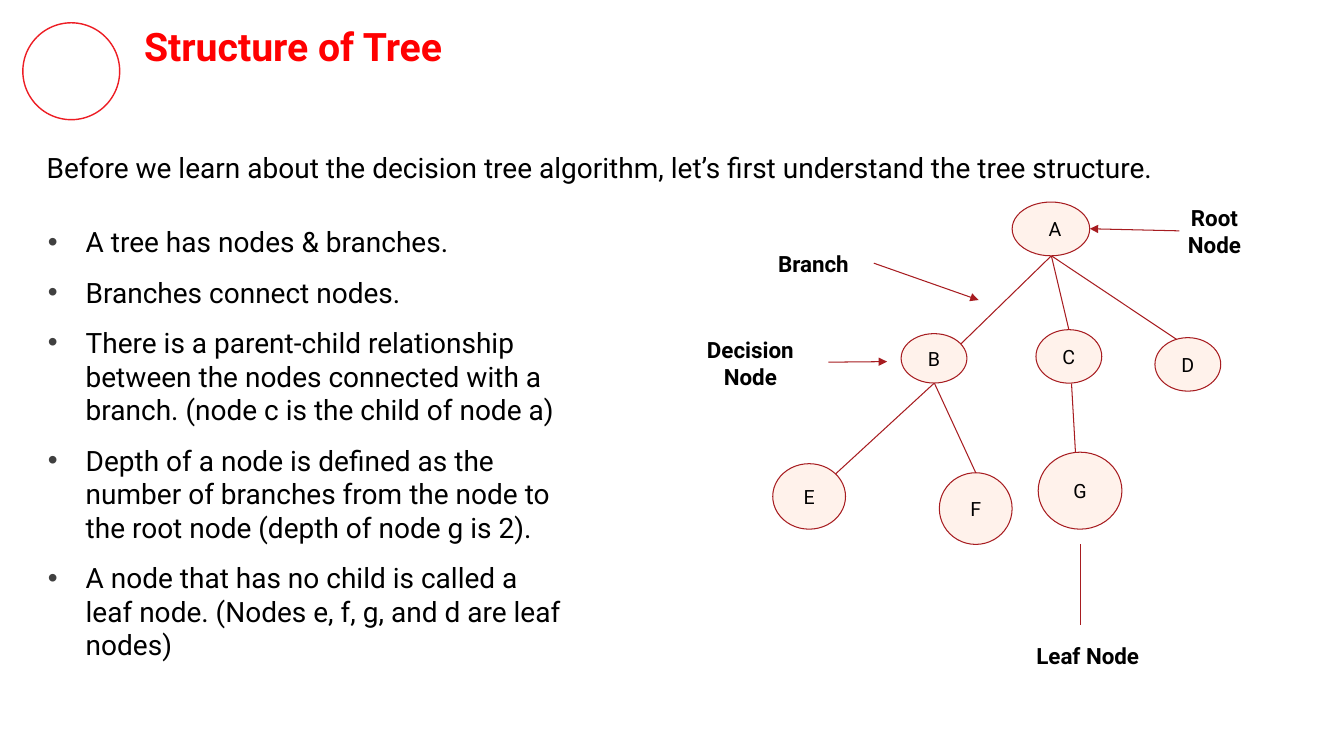
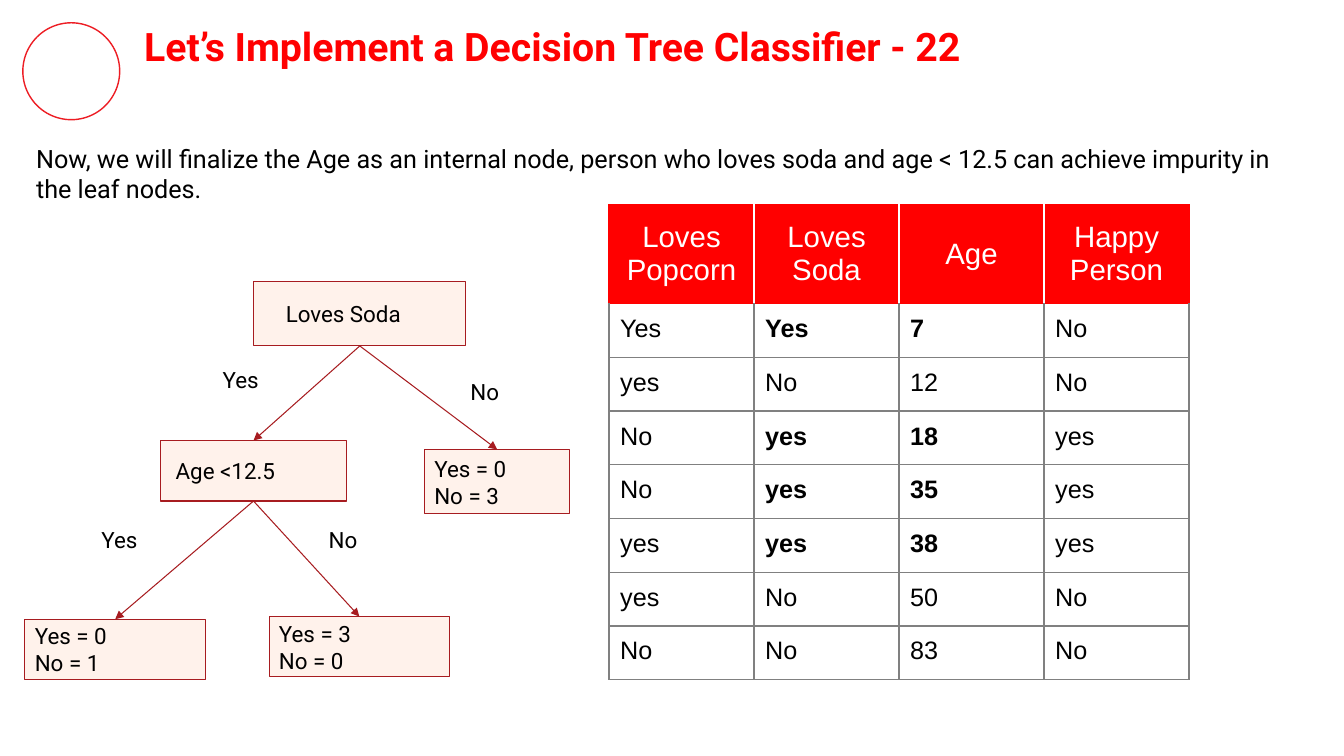
from dataclasses import dataclass
from typing import Any, Optional

from lxml import etree
from pptx import Presentation
from pptx import presentation as pres
from pptx import slide as sl
from pptx import util as u
from pptx.dml import color as dml
from pptx.enum import shapes, text
from pptx.oxml import ns

COLORS = {
    "title": "FF0001",
    "ring": "ED1D24",
    "branch": "A71C20",
    "node": "FFF2EB",
    "ink": "000000",
    "bullet": "404040",
    "header": "FF0000",
    "grid": "808080",
    "paper": "FFFFFF",
}
FONT = "Roboto"
TABLE_FONT = "Arial"
INSET = 7.2
LEFT, CENTER = text.PP_ALIGN.LEFT, text.PP_ALIGN.CENTER
TOP, MIDDLE = text.MSO_ANCHOR.TOP, text.MSO_ANCHOR.MIDDLE
TITLE_LAYOUT, TITLE_BODY_LAYOUT = 5, 1


@dataclass(frozen=True)
class Box:
    left: float
    top: float
    width: float
    height: float

    def lengths(self) -> tuple[u.Pt, ...]:
        return tuple(u.Pt(v) for v in (self.left, self.top, self.width, self.height))


@dataclass(frozen=True)
class Style:
    size: float
    bold: bool = False
    color: str = "ink"
    align: Any = LEFT
    anchor: Any = TOP
    font: str = FONT
    indent: float = INSET
    inset: float = INSET


@dataclass(frozen=True)
class Node:
    label: str
    box: Box
    indent: float = INSET


@dataclass(frozen=True)
class Label:
    words: str
    box: Box


@dataclass(frozen=True)
class Line:
    x1: float
    y1: float
    x2: float
    y2: float
    arrow: bool = False


TITLE_STYLE = Style(28, True, "title")
BULLET_STYLE = Style(20, anchor=MIDDLE)
CALLOUT_STYLE = Style(16, True, align=CENTER, anchor=MIDDLE)
ANSWER_STYLE = Style(16)

BULLETS = (
    "A tree has nodes & branches.",
    "Branches connect nodes.",
    "There is a parent-child relationship between the nodes connected with a branch. "
    "(node c is the child of node a)",
    "Depth of a node is defined as the number of branches from the node to the root node "
    "(depth of node g is 2).",
    "A node that has no child is called a leaf node. (Nodes e, f, g, and d are leaf nodes)",
)
TREE_NODES = (
    Node("A", Box(723, 144.3, 55.4, 38.4), 13),
    Node("B", Box(643.7, 238.3, 47, 35.3)),
    Node("C", Box(740, 235.5, 47, 38.2)),
    Node("D", Box(825, 241.2, 47, 38.2)),
    Node("E", Box(552, 331.2, 52, 46.8)),
    Node("F", Box(671, 337.7, 52, 51.2)),
    Node("G", Box(741.6, 323, 59.8, 55)),
)
TREE_LINES = (
    Line(751, 182.7, 685, 247),
    Line(751, 182.7, 763.5, 235.5),
    Line(751, 182.7, 845, 245.5),
    Line(667.4, 273.6, 597, 338.4),
    Line(667.4, 273.6, 697, 337.7),
    Line(765.4, 274, 768.2, 323),
    Line(771.8, 388.8, 771.8, 446.4),
    Line(624.2, 188, 699, 214.3, True),
    Line(842.4, 164.9, 778.5, 163.4, True),
    Line(591.8, 258.7, 633.6, 258.3, True),
)
CALLOUTS = (
    Label("Root Node", Box(838, 138.5, 59, 53)),
    Label("Branch", Box(531, 171.5, 100, 34)),
    Label("Decision Node", Box(489, 234.5, 94, 49)),
    Label("Leaf Node", Box(717, 451, 120, 34)),
)

DECISIONS = {
    "soda": Node("Loves Soda", Box(181.2, 201.3, 151.6, 45.8), 23),
    "age": Node("Age <12.5", Box(114.5, 314.7, 133.2, 43.2), 11),
    "young": Node("Yes = 0\nNo = 1", Box(17.8, 442.3, 129, 43.2)),
    "older": Node("Yes = 3\nNo = 0", Box(192.2, 440.4, 129, 43.2)),
    "no_soda": Node("Yes = 0\nNo = 3", Box(303.2, 321, 103.8, 46)),
}
SPLITS = (("soda", "age"), ("soda", "no_soda"), ("age", "young"), ("age", "older"))
ANSWERS = (
    Label("Yes", Box(152, 254.2, 58, 34)),
    Label("No", Box(329, 262.8, 58, 34)),
    Label("Yes", Box(65.3, 368.6, 49, 34)),
    Label("No", Box(227.7, 368.6, 58, 34)),
)
PEOPLE = (
    ("Loves Popcorn", "Loves Soda", "Age", "Happy Person"),
    ("Yes", "Yes", "7", "No"),
    ("yes", "No", "12", "No"),
    ("No", "yes", "18", "yes"),
    ("No", "yes", "35", "yes"),
    ("yes", "yes", "38", "yes"),
    ("yes", "No", "50", "No"),
    ("No", "No", "83", "No"),
)
SODA_COLUMN, AGE_COLUMN = 1, 2
HEADER_HEIGHT, ROW_HEIGHT, COLUMN_WIDTH = 70.6, 38.4, 103.6


def rgb(name: str) -> dml.RGBColor:
    return dml.RGBColor.from_string(COLORS[name])


def add_child(parent: Any, tag: str, **attributes: str) -> Any:
    return etree.SubElement(parent, ns.qn(tag), **attributes)


def style_runs(frame: Any, style: Style) -> None:
    for paragraph in frame.paragraphs:
        paragraph.alignment = style.align
        for run in paragraph.runs:
            run.font.size = u.Pt(style.size)
            run.font.name = style.font
            run.font.bold = style.bold
            run.font.color.rgb = rgb(style.color)


def write(frame: Any, words: str, style: Style) -> None:
    frame.text = words
    frame.word_wrap = True
    frame.auto_size = text.MSO_AUTO_SIZE.NONE
    frame.vertical_anchor = style.anchor
    frame.margin_left = u.Pt(style.indent)
    frame.margin_right = frame.margin_top = frame.margin_bottom = u.Pt(style.inset)
    style_runs(frame, style)


def place(shape: Any, box: Box) -> None:
    shape.left, shape.top, shape.width, shape.height = box.lengths()


def add_text(slide: sl.Slide, words: str, box: Box, style: Style) -> None:
    write(slide.shapes.add_textbox(*box.lengths()).text_frame, words, style)


def add_outline(slide: sl.Slide, kind: Any, box: Box, line: str, width: float,
                fill: Optional[str] = None) -> Any:
    shape = slide.shapes.add_shape(kind, *box.lengths())
    shape.shadow.inherit = False
    if fill:
        shape.fill.solid()
        shape.fill.fore_color.rgb = rgb(fill)
    else:
        shape.fill.background()
    shape.line.color.rgb = rgb(line)
    shape.line.width = u.Pt(width)
    return shape


def add_node(slide: sl.Slide, kind: Any, node: Node, size: float, align: Any) -> Any:
    shape = add_outline(slide, kind, node.box, "branch", 0.75, "node")
    write(shape.text_frame, node.label,
          Style(size, align=align, anchor=MIDDLE, indent=node.indent))
    return shape


def add_line(slide: sl.Slide, line: Line) -> Any:
    ends = (u.Pt(v) for v in (line.x1, line.y1, line.x2, line.y2))
    connector = slide.shapes.add_connector(shapes.MSO_CONNECTOR.STRAIGHT, *ends)
    connector.line.color.rgb = rgb("branch")
    connector.line.width = u.Pt(0.75)
    properties = connector.element.spPr
    if line.arrow:
        add_child(properties.find(ns.qn("a:ln")), "a:tailEnd", type="triangle")
    add_child(properties, "a:effectLst")
    return connector


def add_titled_slide(deck: pres.Presentation, layout: int, title: str) -> sl.Slide:
    slide = deck.slides.add_slide(deck.slide_layouts[layout])
    add_outline(slide, shapes.MSO_SHAPE.OVAL, Box(16.3, 16.3, 69.2, 69.2), "ring", 1)
    place(slide.shapes.title, Box(95.8, 8.6, 805, 48.2))
    write(slide.shapes.title.text_frame, title, TITLE_STYLE)
    return slide


def add_bullets(slide: sl.Slide) -> None:
    body = slide.placeholders[1]
    place(body, Box(18, 145.5, 390.2, 342))
    write(body.text_frame, "\n".join(BULLETS), BULLET_STYLE)
    for paragraph in body.text_frame.paragraphs:
        properties = paragraph._p.get_or_add_pPr()
        properties.set("marL", str(u.Pt(36)))
        properties.set("indent", str(u.Pt(-27)))
        color = add_child(properties, "a:buClr")
        add_child(color, "a:srgbClr", val=COLORS["bullet"])
        add_child(properties, "a:buFont", typeface=TABLE_FONT)
        add_child(properties, "a:buChar", char="•")
        paragraph.space_before = u.Pt(0)
        paragraph.space_after = u.Pt(12)


def set_borders(cell: Any, **sides: str) -> None:
    properties = cell._tc.get_or_add_tcPr()
    for side in "LRTB":
        line = add_child(properties, f"a:ln{side}", w=str(u.Pt(1)))
        fill = add_child(line, "a:solidFill")
        add_child(fill, "a:srgbClr", val=COLORS[sides[side]])


def add_people_table(slide: sl.Slide) -> None:
    rows, columns = len(PEOPLE), len(PEOPLE[0])
    box = Box(435, 146.2, columns * COLUMN_WIDTH, HEADER_HEIGHT + (rows - 1) * ROW_HEIGHT)
    table = slide.shapes.add_table(rows, columns, *box.lengths()).table
    table.horz_banding = False
    for column in table.columns:
        column.width = u.Pt(COLUMN_WIDTH)
    for r, person in enumerate(PEOPLE):
        header = r == 0
        table.rows[r].height = u.Pt(HEADER_HEIGHT if header else ROW_HEIGHT)
        loves_soda = person[SODA_COLUMN].lower() == "yes"
        for c, value in enumerate(person):
            cell = table.cell(r, c)
            cell.text = value
            cell.vertical_anchor = MIDDLE if header else TOP
            cell.margin_left = cell.margin_right = u.Pt(8)
            cell.margin_top = cell.margin_bottom = u.Pt(8)
            if header:
                style = Style(21, color="paper", align=CENTER, font=TABLE_FONT)
                set_borders(cell, L="paper" if c else "header", T="header", B="header",
                            R="paper" if c < columns - 1 else "header")
            else:
                bold = loves_soda and c in (SODA_COLUMN, AGE_COLUMN)
                style = Style(18, bold, font=TABLE_FONT)
                set_borders(cell, L="grid", R="grid", B="grid",
                            T="header" if r == 1 else "grid")
            style_runs(cell.text_frame, style)
            cell.fill.solid()
            cell.fill.fore_color.rgb = rgb("header" if header else "paper")


def build_structure_slide(deck: pres.Presentation) -> None:
    slide = add_titled_slide(deck, TITLE_BODY_LAYOUT, "Structure of Tree")
    add_text(slide, "Before we learn about the decision tree algorithm, "
             "let’s first understand the tree structure.",
             Box(17.3, 94.3, 924.5, 51), Style(20, anchor=MIDDLE, indent=16))
    add_bullets(slide)
    for line in TREE_LINES:
        add_line(slide, line)
    for node in TREE_NODES:
        add_node(slide, shapes.MSO_SHAPE.FLOWCHART_CONNECTOR, node, 14, CENTER)
    for callout in CALLOUTS:
        add_text(slide, callout.words, callout.box, CALLOUT_STYLE)


def build_classifier_slide(deck: pres.Presentation) -> None:
    slide = add_titled_slide(deck, TITLE_LAYOUT,
                             "Let’s Implement a Decision Tree Classifier - 22")
    add_people_table(slide)
    add_text(slide, "Now, we will finalize the Age as an internal node, person who loves soda "
             "and age < 12.5 can achieve impurity in the leaf nodes.",
             Box(18.7, 95, 923.8, 48.2), Style(18))
    boxes = {key: add_node(slide, shapes.MSO_SHAPE.RECTANGLE, node, 16, LEFT)
             for key, node in DECISIONS.items()}
    for parent, child in SPLITS:
        split = add_line(slide, Line(0, 0, 0, 0, True))
        split.begin_connect(boxes[parent], 2)
        split.end_connect(boxes[child], 0)
    for answer in ANSWERS:
        add_text(slide, answer.words, answer.box, ANSWER_STYLE)


def main() -> None:
    deck = Presentation()
    deck.slide_width, deck.slide_height = u.Pt(960), u.Pt(540)
    build_structure_slide(deck)
    build_classifier_slide(deck)
    deck.save("out.pptx")


if __name__ == "__main__":
    main()
